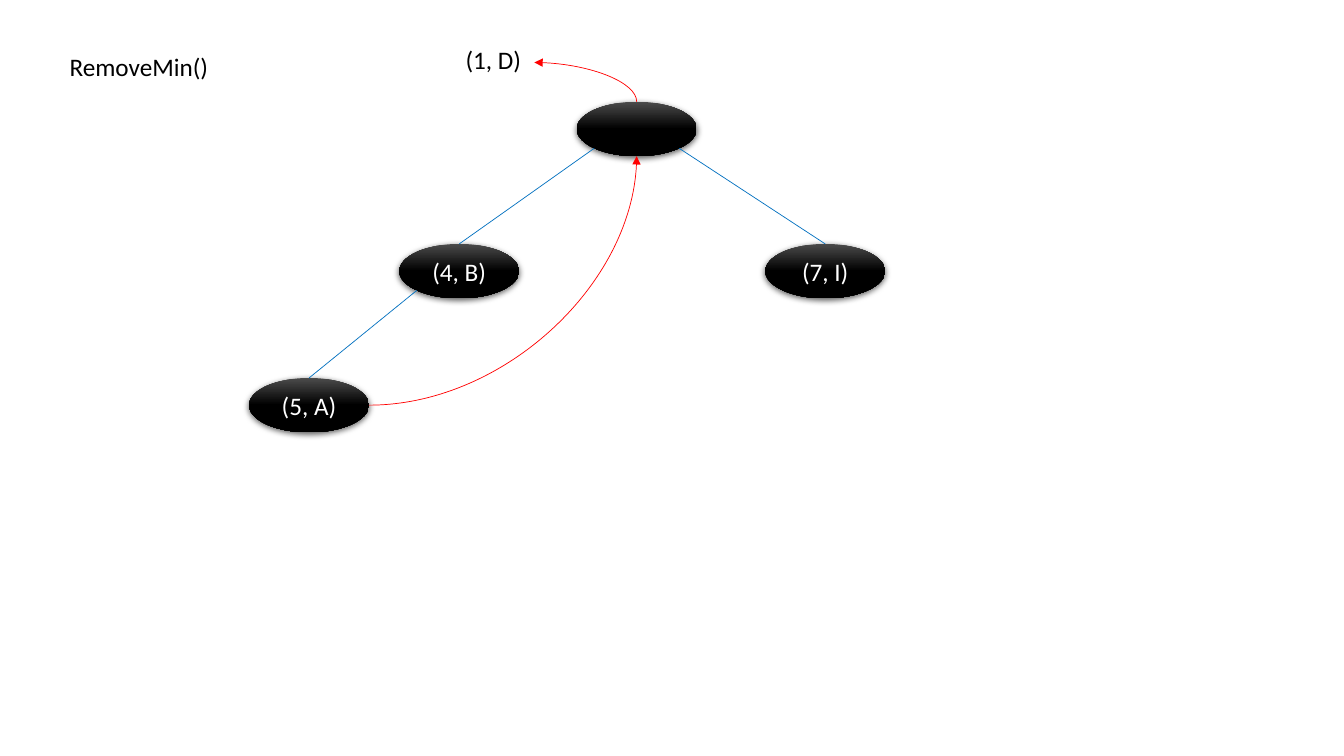
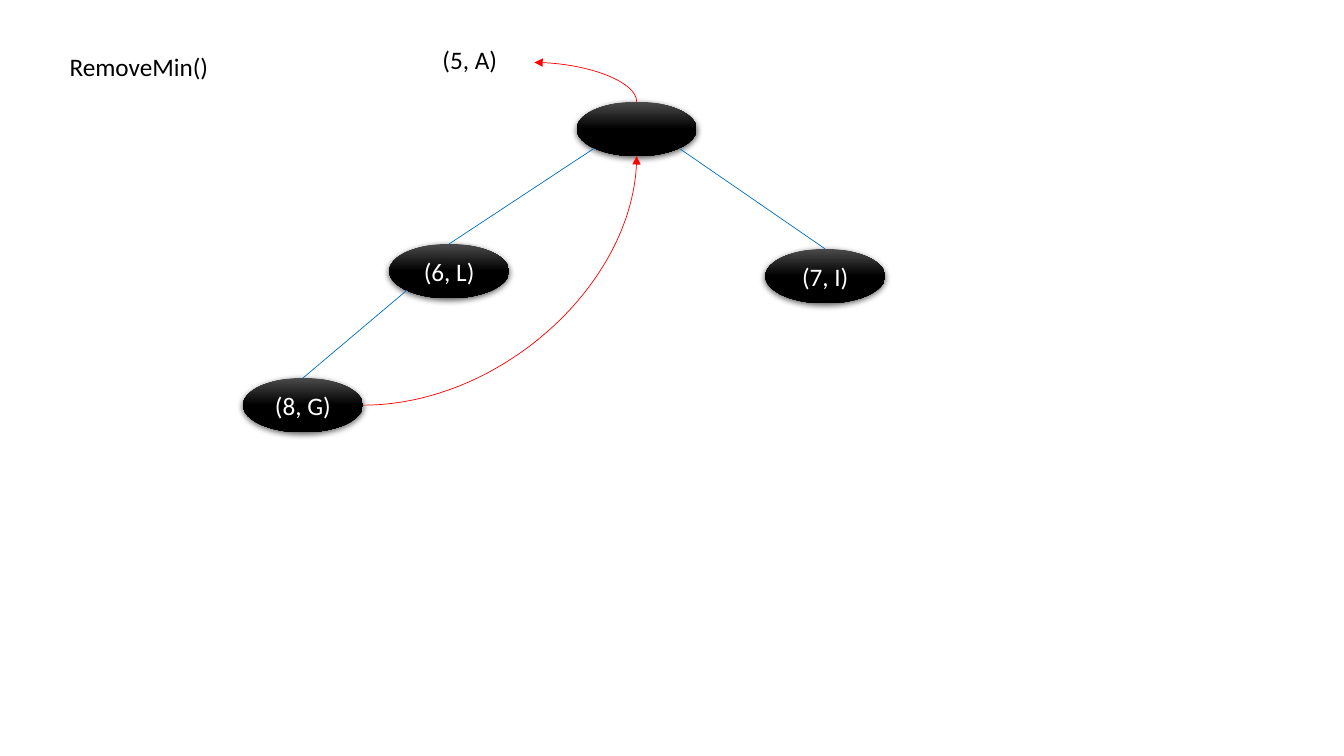
from math import cos, pi

from lxml import etree
from pptx import Presentation
from pptx import util as u
from pptx.dml.color import RGBColor
from pptx.enum import shapes, text
from pptx.oxml import parse_xml
from pptx.oxml.ns import nsdecls, qn

PX = 9144  # 100 px to the inch
BLACK, WHITE, GREY, BLUE, RED = "000000", "FFFFFF", "4B4B4B", "0070C0", "FF0000"
NODE_W, NODE_H = 119, 54
ROOT = (572, 101)
SHADOW = (
    f'<a:outerShdw {nsdecls("a")} blurRad="57150" dist="19050" dir="5400000" '
    'algn="ctr" rotWithShape="0"><a:srgbClr val="000000">'
    '<a:alpha val="63000"/></a:srgbClr></a:outerShdw>'
)


def write(sp, words, color=BLACK, align=text.PP_ALIGN.LEFT,
          anchor=text.MSO_ANCHOR.TOP, wrap=True):
    tf = sp.text_frame
    tf.word_wrap = wrap
    tf.vertical_anchor = anchor
    p = tf.paragraphs[0]
    p.alignment = align
    r = p.add_run()
    r.text = words
    r.font.size = u.Pt(18)
    r.font.name = "Calibri"
    r.font.color.rgb = RGBColor.from_string(color)


def connect(s, kind, start, end, color):
    """Draw a thin connector; a curved one bends once and ends in an arrowhead."""
    c = s.shapes.add_connector(kind, *(round(v * PX) for v in (*start, *end)))
    c.line.color.rgb = RGBColor.from_string(color)
    c.line.width = u.Pt(0.5)
    spPr = c._element.spPr
    if kind == shapes.MSO_CONNECTOR.CURVE:
        spPr.find(qn("a:prstGeom")).set("prst", "curvedConnector2")
        etree.SubElement(spPr.find(qn("a:ln")), qn("a:tailEnd"), type="triangle")
    etree.SubElement(spPr, qn("a:effectLst"))
    return c


# Title width, removed entry and its box, then label and corner of each node
heaps = [
    (161, "(1, D)", 452, 76,
     [("", ROOT), ("(4, B)", (396, 242)), ("(7, I)", (759, 242)), ("(5, A)", (247, 375))]),
    (165, "(5, A)", 429, 75,
     [("", ROOT), ("(6, L)", (386, 242)), ("(7, I)", (759, 247)), ("(8, G)", (241, 375))]),
]
edges = [(0, 1, -1), (0, 2, 1), (1, 3, -1)]  # parent, child, side
dx, dy = NODE_W / 2 * cos(pi / 4), NODE_H / 2 * cos(pi / 4)
root_x = ROOT[0] + NODE_W / 2

prs = Presentation()
prs.slide_width, prs.slide_height = 1333 * PX, 750 * PX

for title_w, removed, removed_x, removed_w, nodes in heaps:
    s = prs.slides.add_slide(prs.slide_layouts[5])
    title = s.shapes.title
    title.left, title.top, title.width, title.height = (v * PX for v in (59, 46, title_w, 40))
    write(title, "RemoveMin()")

    ovals = []
    for label, (x, y) in nodes:
        sp = s.shapes.add_shape(shapes.MSO_SHAPE.OVAL, x * PX, y * PX, NODE_W * PX, NODE_H * PX)
        sp.fill.gradient()
        sp.fill.gradient_angle = 270
        for stop, color, position in zip(sp.fill.gradient_stops, (GREY, BLACK), (0, 0.5)):
            stop.color.rgb = RGBColor.from_string(color)
            stop.position = position
        sp.line.fill.background()
        sp.shadow.inherit = False
        sp._element.spPr.find(qn("a:effectLst")).append(parse_xml(SHADOW))
        if label:
            write(sp, label, WHITE, text.PP_ALIGN.CENTER, text.MSO_ANCHOR.MIDDLE)
        ovals.append(sp)

    for parent, child, side in edges:
        x, y = nodes[parent][1]
        start = (x + NODE_W / 2 + side * dx, y + NODE_H / 2 + dy)
        line = connect(s, shapes.MSO_CONNECTOR.STRAIGHT, start, nodes[child][1], BLUE)
        line.end_connect(ovals[child], 0)

    # The root leaves upwards: a quarter turn makes the curve start vertically
    tip_x, tip_y = 530, 62
    mid_x, mid_y = (root_x + tip_x) / 2, (ROOT[1] + tip_y) / 2
    half_w, half_h = (ROOT[1] - tip_y) / 2, (root_x - tip_x) / 2
    out = connect(s, shapes.MSO_CONNECTOR.CURVE, (mid_x - half_w, mid_y + half_h),
                  (mid_x + half_w, mid_y - half_h), RED)
    out._element.spPr.find(qn("a:xfrm")).set("rot", "16200000")

    box = s.shapes.add_textbox(removed_x * PX, 39 * PX, removed_w * PX, 40 * PX)
    write(box, removed, wrap=False)

    last_x, last_y = nodes[-1][1]
    connect(s, shapes.MSO_CONNECTOR.CURVE, (last_x + NODE_W, last_y + NODE_H / 2),
            (root_x, ROOT[1] + NODE_H), RED)

prs.save("out.pptx")
